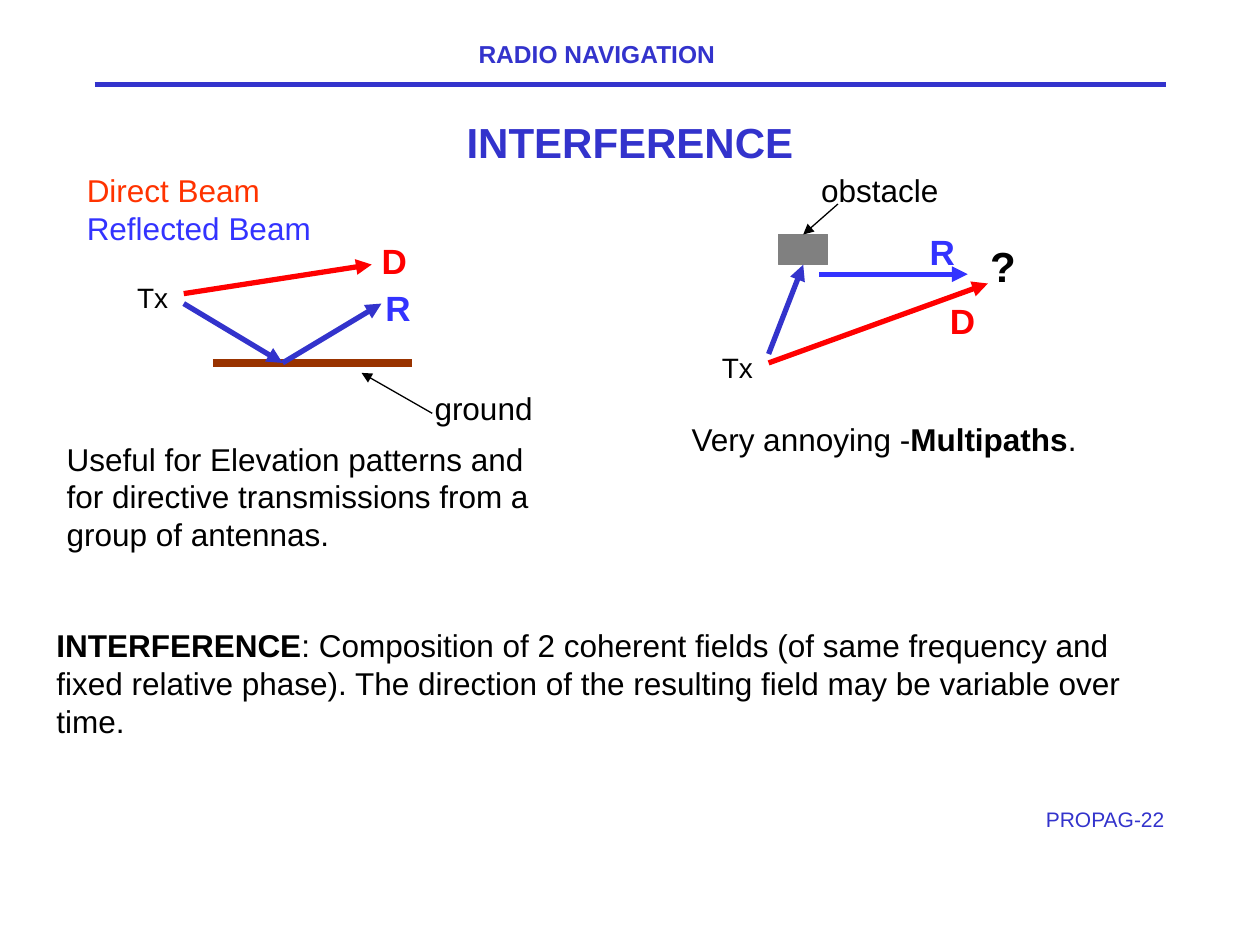
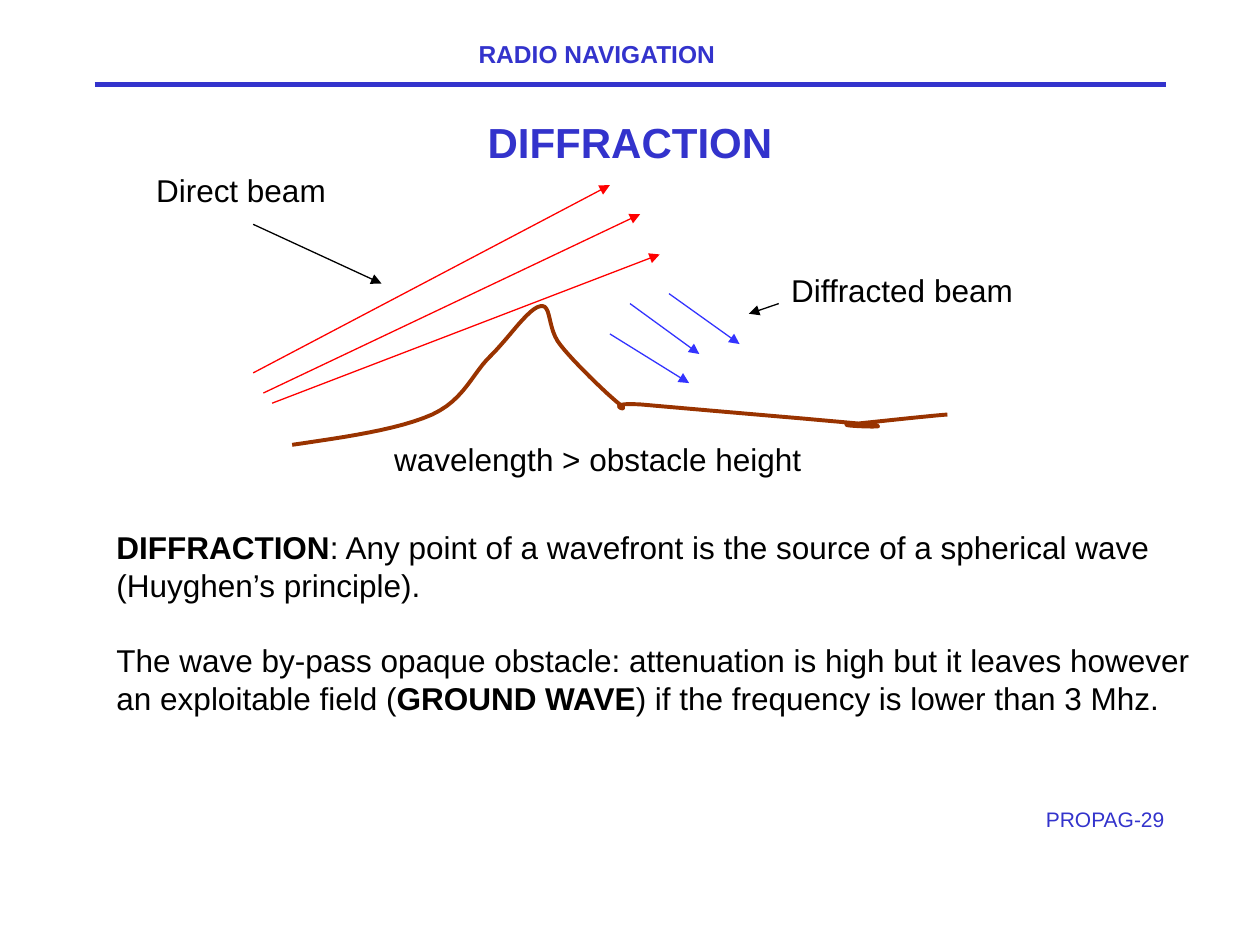
from lxml.etree import SubElement
from pptx import Presentation
from pptx.dml.color import RGBColor
from pptx.enum.shapes import MSO_CONNECTOR, MSO_SHAPE
from pptx.enum.text import MSO_ANCHOR, MSO_AUTO_SIZE, PP_ALIGN
from pptx.oxml.ns import qn
from pptx.util import Pt

COLOURS = {
    "navy": "3333CC", "blue": "3333FF", "red": "FF0000", "orange": "FF3300",
    "brown": "993300", "grey": "808080", "black": "000000",
}

# Text formats
FORMATS = {
    "header": {"size": 14, "bold": True, "colour": "navy"},
    "title": {"size": 24, "bold": True, "colour": "navy"},
    "footer": {"size": 12, "bold": False, "colour": "navy"},
    "body": {"size": 18, "bold": False, "colour": "black"},
    "strong": {"size": 18, "bold": True, "colour": "black"},
    "direct": {"size": 18, "bold": False, "colour": "orange"},
    "reflected": {"size": 18, "bold": False, "colour": "blue"},
    "transmitter": {"size": 16, "bold": False, "colour": "black"},
    "ray D": {"size": 20, "bold": True, "colour": "red"},
    "ray R": {"size": 20, "bold": True, "colour": "blue"},
    "question": {"size": 24, "bold": True, "colour": "black"},
}

# Labels: (left, top, width, height), format, text
# Passages: (left, top, width, height), paragraphs of (text, format) runs
# Lines: start, end, colour, width, and False where there is no arrowhead
INTERFERENCE = {
    "title": "INTERFERENCE",
    "footer": "PROPAG-22",
    "labels": [
        ((241.2, 218.9, 70.6, 28.8), "body", "ground"),
        ((462.2, 94.3, 81.4, 28.8), "body", "obstacle"),
        ((71.3, 157, 34, 26.6), "transmitter", "Tx"),
        ((405.4, 196.6, 34, 26.6), "transmitter", "Tx"),
        ((211, 133.2, 28.8, 31.7), "ray D", "D"),
        ((213.1, 160.3, 28.8, 31.7), "ray R", "R"),
        ((535.7, 167.8, 28.8, 31.7), "ray D", "D"),
        ((524.2, 128.2, 28.8, 31.7), "ray R", "R"),
        ((558.7, 133.9, 28.8, 36), "question", "?"),
    ],
    "passages": [
        ((42.5, 94.3, 143.3, 50.4),
         [[("Direct Beam", "direct")], [("Reflected Beam", "reflected")]]),
        ((31, 247.7, 279.4, 72),
         [[("Useful for Elevation patterns and for directive transmissions "
            "from a group of antennas.", "body")]]),
        ((388.1, 236.2, 307.4, 50.4),
         [[("Very annoying -", "body"), ("Multipaths", "strong"), (".", "body")]]),
        ((25.2, 354.4, 640.8, 72),
         [[("INTERFERENCE", "strong"),
           (": Composition of 2 coherent fields (of same frequency and fixed "
            "relative phase). The direction of the resulting field may be "
            "variable over time.", "body")]]),
    ],
    "lines": [
        ((121.7, 207.4), (235.4, 207.4), "brown", 4.5, False),
        ((105, 173.5), (161.5, 207.4), "navy", 3),
        ((161.5, 207.4), (218, 173.5), "navy", 3),
        ((105, 167.8), (212.4, 151.2), "red", 3),
        ((439.2, 207.4), (564.5, 162), "red", 3),
        ((468, 156.7), (553, 156.7), "blue", 3),
        ((247, 236.2), (206.6, 213.1), "black", 0.75),
    ],
}

DIFFRACTION = {
    "title": "DIFFRACTION",
    "footer": "PROPAG-29",
    "labels": [
        ((82.1, 94.3, 111.6, 28.8), "body", "Direct beam"),
        ((445, 151.2, 141.1, 28.8), "body", "Diffracted beam"),
        ((218.2, 247.7, 247, 28.8), "body", "wavelength > obstacle height"),
    ],
    "passages": [
        ((59.5, 298.1, 630.7, 115.2),
         [[("DIFFRACTION", "strong"),
           (": Any point of a wavefront is the source of a spherical wave "
            "(Huyghen’s principle).", "body")],
          [("The wave by-pass opaque obstacle: attenuation is high but it "
            "leaves however an exploitable field (", "body"),
           ("GROUND WAVE", "strong"),
           (") if the frequency is lower than 3 Mhz.", "body")]]),
    ],
    "lines": [
        ((144.7, 128.2), (218, 162), "black", 0.75),
        ((445, 173.5), (428, 179.3), "black", 0.75),
        ((155.5, 230.4), (377, 145.4), "red", 0.75),
        ((150.5, 224.6), (365.8, 122.4), "red", 0.75),
        ((144.7, 213.1), (348.5, 105.8), "red", 0.75),
        ((348.5, 190.8), (393.8, 218.9), "blue", 0.75),
        ((360, 173.5), (399.6, 202.3), "blue", 0.75),
        ((382.3, 167.8), (422.6, 196.6), "blue", 0.75),
    ],
    "paragraph gap": 21.6,
}

OBSTACLE = (445, 134, 28, 17.3)

# Hill profile: start, then cubic curves of two handles and an end
HILL_START = (167, 254.2)
HILL_CURVES = [
    ((197.3, 249.8), (227.5, 245.5), (247, 236.9)),
    ((265.7, 228.2), (270, 213.1), (280.8, 203)),
    ((290.9, 193), (302.4, 175.7), (308.9, 175)),
    ((315.4, 173.5), (312.5, 187.9), (320.4, 197.3)),
    ((327.6, 206.6), (347, 225.4), (354.2, 231.1)),
    ((362.2, 236.9), (342, 229.7), (365.8, 231.1)),
    ((389.5, 233.3), (475.9, 240.5), (496.1, 242.6)),
    ((516.2, 244.8), (477.4, 243.4), (484.6, 242.6)),
    ((492.5, 241.9), (531.4, 237.6), (541.4, 236.9)),
]
CURVE_STEPS = 12


def rgb(name):
    return RGBColor.from_string(COLOURS[name])


def points(values):
    return [Pt(value) for value in values]


def add_text(page, place, paragraphs, wrap=True, align=PP_ALIGN.LEFT,
             anchor=MSO_ANCHOR.TOP, gap=0):
    frame = page.shapes.add_textbox(*points(place)).text_frame
    settings = {
        "word_wrap": wrap, "vertical_anchor": anchor,
        "auto_size": MSO_AUTO_SIZE.NONE if wrap else MSO_AUTO_SIZE.SHAPE_TO_FIT_TEXT,
    }
    for name, value in settings.items():
        setattr(frame, name, value)
    for index, runs in enumerate(paragraphs):
        para = frame.add_paragraph() if index else frame.paragraphs[0]
        para.alignment = align
        if index and gap:
            para.space_before = Pt(gap)
        for text, style in runs:
            span = para.add_run()
            span.text = text
            look = FORMATS[style]
            font = {"name": "Arial", "size": Pt(look["size"]), "bold": look["bold"]}
            for name, value in font.items():
                setattr(span.font, name, value)
            span.font.color.rgb = rgb(look["colour"])


def add_line(page, start, end, colour, width, arrow=True):
    line = page.shapes.add_connector(MSO_CONNECTOR.STRAIGHT, *points(start + end))
    line.line.color.rgb = rgb(colour)
    line.line.width = Pt(width)
    if arrow:
        SubElement(line.line._get_or_add_ln(), qn("a:tailEnd"), type="triangle")
    SubElement(line._element.spPr, qn("a:effectLst"))
    return line


def add_page(deck, content):
    page = deck.slides.add_slide(deck.slide_layouts[6])
    # Shared header, title and footer
    add_line(page, (54, 48.2), (666, 48.2), "navy", 3, arrow=False)
    add_text(page, (266.4, 18.7, 152, 24.5), [[("RADIO NAVIGATION", "header")]], wrap=False)
    add_text(page, (558.7, 457.2, 113.8, 30.2), [[(content["footer"], "footer")]],
             align=PP_ALIGN.RIGHT)
    add_text(page, (54, 54, 612, 54), [[(content["title"], "title")]],
             align=PP_ALIGN.CENTER, anchor=MSO_ANCHOR.MIDDLE)
    # Text and rays of this page
    for place, paragraphs in content["passages"]:
        add_text(page, place, paragraphs, gap=content.get("paragraph gap", 0))
    for place, style, text in content["labels"]:
        add_text(page, place, [[(text, style)]], wrap=False)
    for line in content["lines"]:
        add_line(page, *line)
    return page


def add_obstacle(page):
    box = page.shapes.add_shape(MSO_SHAPE.RECTANGLE, *points(OBSTACLE))
    box.shadow.inherit = False
    box.fill.solid()
    box.fill.fore_color.rgb = rgb("grey")
    box.line.color.rgb = rgb("grey")
    box.line.width = Pt(0.75)
    left, top, width, height = OBSTACLE
    middle = left + width / 2
    pointer = add_line(page, (478.8, 116.6), (middle, top), "black", 0.75)
    pointer.end_connect(box, 0)
    ray = add_line(page, (439.2, 202.3), (middle, top + height), "navy", 3)
    ray.end_connect(box, 2)


def curve_point(corners, step):
    t = step / CURVE_STEPS
    weights = ((1 - t) ** 3, 3 * t * (1 - t) ** 2, 3 * t ** 2 * (1 - t), t ** 3)
    return [Pt(sum(weight * corner[axis] for weight, corner in zip(weights, corners)))
            for axis in (0, 1)]


def add_hill(page):
    builder = page.shapes.build_freeform(*points(HILL_START))
    start, outline = HILL_START, []
    for curve in HILL_CURVES:
        outline += [curve_point((start, *curve), step) for step in range(1, CURVE_STEPS + 1)]
        start = curve[-1]
    builder.add_line_segments(outline, close=False)
    hill = builder.convert_to_shape()
    hill.shadow.inherit = False
    hill.fill.background()
    hill.line.color.rgb = rgb("brown")
    hill.line.width = Pt(2.25)


def main():
    deck = Presentation()
    deck.slide_width, deck.slide_height = Pt(720), Pt(540)
    add_obstacle(add_page(deck, INTERFERENCE))
    add_hill(add_page(deck, DIFFRACTION))
    deck.save("out.pptx")


if __name__ == "__main__":
    main()
